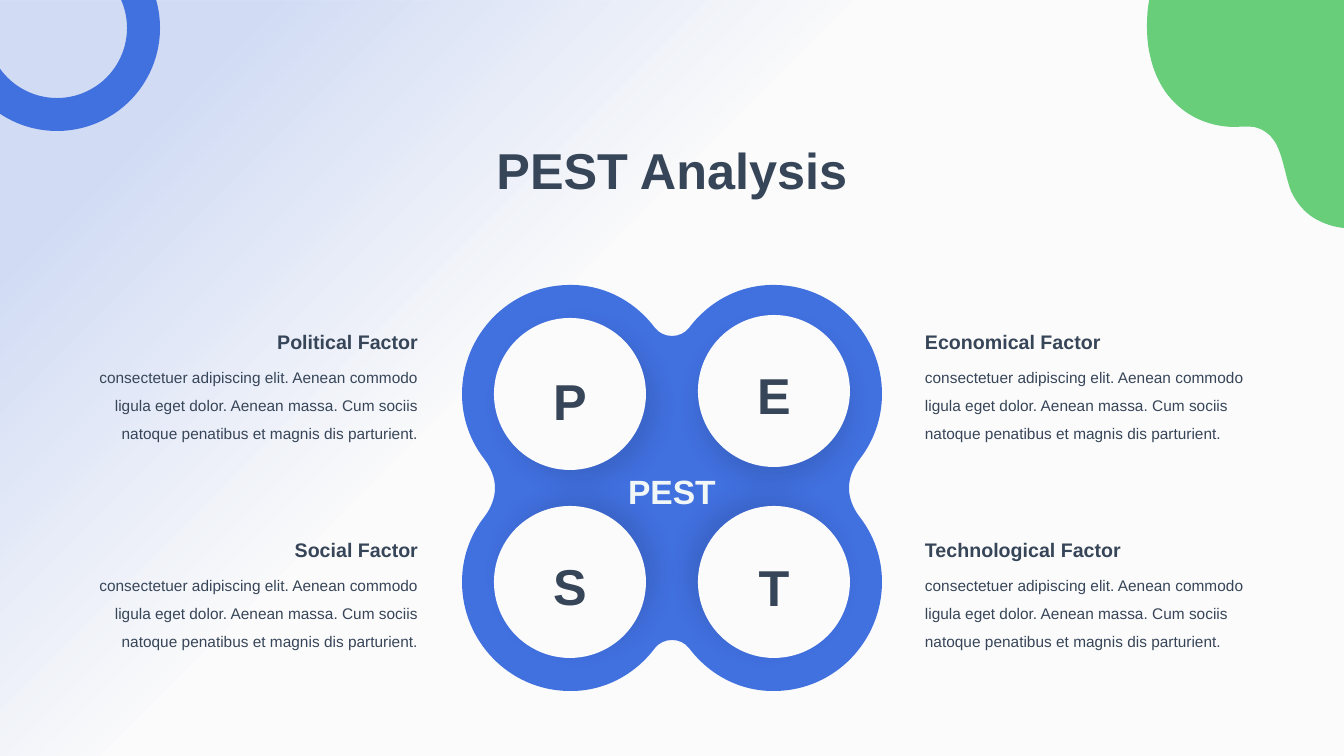
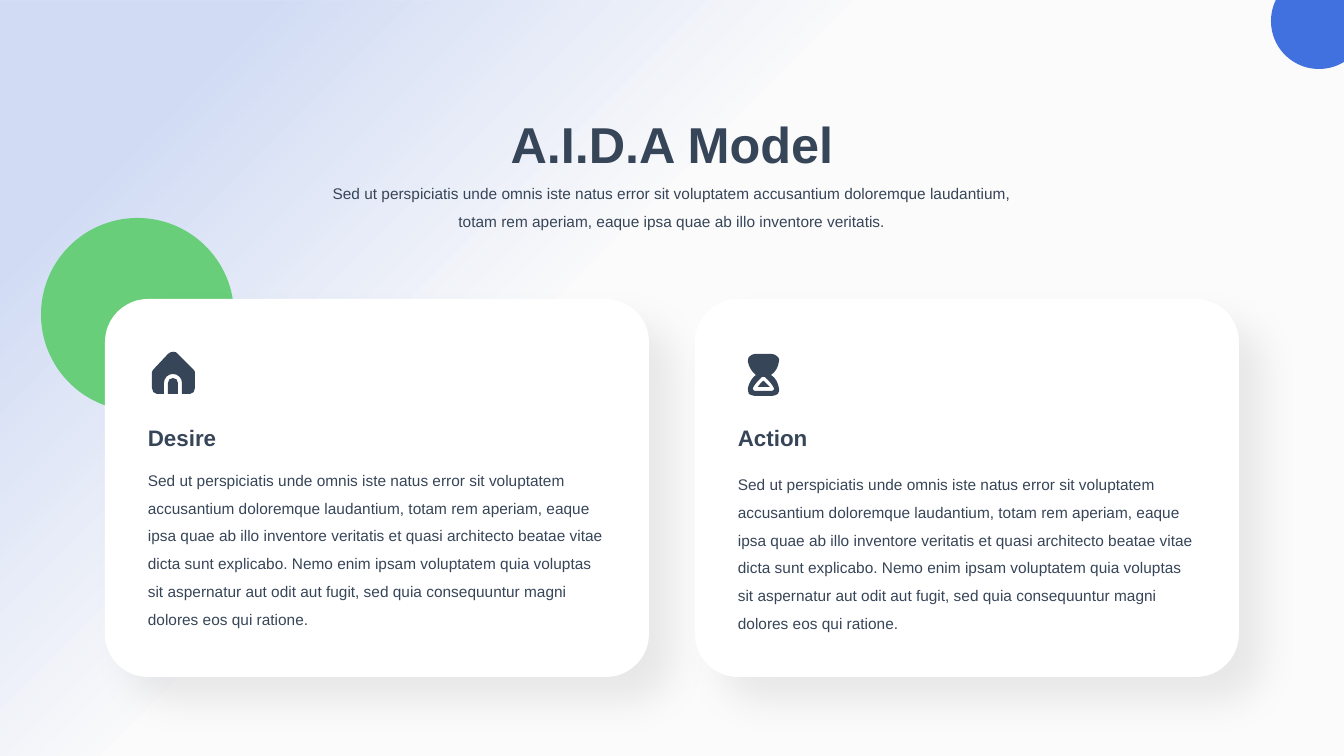
"""Build two strategy slides: PEST analysis and A.I.D.A model."""
import lxml.etree
import pptx
import pptx.dml.color
import pptx.enum.shapes
import pptx.enum.text
import pptx.oxml.ns
import pptx.util

PX = 914400 / 100.8
WIDTH, HEIGHT = 1344, 756
FONT = "Arial"
COLORS = {"paper": "FBFBFB", "blue": "4170DF", "green": "68CE7A", "ink": "374558",
          "label": "F1F7F7", "card": "FFFFFF", "shadow": "000000"}
SHAPE = pptx.enum.shapes.MSO_SHAPE
ALIGN = pptx.enum.text.PP_ALIGN
ANCHOR = pptx.enum.text.MSO_ANCHOR
# position and opacity in percent
BACKDROP_STOPS = [(13, 22), (41, 0)]

FACTOR_BODY = ("consectetuer adipiscing elit. Aenean commodo ligula eget dolor. "
               "Aenean massa. Cum sociis natoque penatibus et magnis dis parturient.")
FACTORS = [["Political Factor", "Economical Factor"],
           ["Social Factor", "Technological Factor"]]
FACTOR_SIDES = [(55, ALIGN.RIGHT), (915, ALIGN.LEFT)]
FACTOR_TOP, FACTOR_STEP = 316, 208
# letter, circle left, circle top, letter top, shadow direction
LETTERS = [("P", 494, 318, 364, 45), ("E", 698, 315, 358, 90),
           ("S", 494, 506, 549, 315), ("T", 698, 506, 550, 225)]
CIRCLE = 152

AIDA_INTRO = ("Sed ut perspiciatis unde omnis iste natus error sit voluptatem accusantium "
              "doloremque laudantium, totam rem aperiam, eaque ipsa quae ab illo inventore "
              "veritatis.")
CARD_BODY = ("Sed ut perspiciatis unde omnis iste natus error sit voluptatem accusantium "
             "doloremque laudantium, totam rem aperiam, eaque ipsa quae ab illo inventore "
             "veritatis et quasi architecto beatae vitae dicta sunt explicabo. Nemo enim ipsam "
             "voluptatem quia voluptas sit aspernatur aut odit aut fugit, sed quia "
             "consequuntur magni dolores eos qui ratione.")
# heading, card left, gap under the heading in points
CARDS = [("Desire", 105, 7.5), ("Action", 695, 10.5)]

# a contour is a start point, then line ends (x, y) and curves (two handles and an end)
CLOVER_CENTER = (672, 488)
CLOVER_QUARTER = [(849, 488), (849, 478), (853, 468), (859, 460), (874, 441), (882, 418),
                  (882, 394), (882, 335), (835, 286), (776, 285), (742, 284), (710, 300),
                  (689, 328), (685, 333), (679, 336), (672, 336)]
BLOB = [(1150, -3), (1146, 12, 1146, 40, 1150, 55), (1153, 70, 1159, 83, 1167, 94),
        (1185, 117, 1209, 126, 1232, 127), (1239, 127, 1247, 126, 1254, 127),
        (1263, 129, 1270, 134, 1275, 142), (1283, 155, 1285, 175, 1291, 191),
        (1296, 202, 1304, 212, 1314, 218), (1324, 224, 1334, 227, 1344, 228), (1344, -3)]
HOUSE = [(182, 383), (182, 394), (190, 394), (193, 394, 195, 391, 195, 388), (195, 372),
         (195, 371, 195, 371, 194, 370), (178, 354), (176, 351, 171, 351, 168, 354),
         (153, 370), (152, 371, 152, 371, 152, 372), (152, 388),
         (152, 391, 154, 394, 157, 394), (164, 394), (164, 383),
         (164, 378, 168, 374, 173, 374), (178, 374, 182, 378, 182, 383)]
DOOR = [(173, 378), (170, 378, 168, 380, 168, 383), (168, 394), (178, 394), (178, 383),
        (178, 380, 176, 378, 173, 378)]
HOURGLASS = [(771, 375), (776, 372, 778, 367, 779, 362), (780, 360, 779, 358, 778, 357),
             (776, 355, 774, 354, 772, 354), (755, 354), (753, 354, 751, 355, 749, 357),
             (748, 358, 748, 360, 748, 362), (749, 367, 752, 372, 756, 375),
             (752, 378, 749, 383, 748, 388), (748, 390, 748, 392, 749, 394),
             (751, 395, 753, 396, 755, 396), (772, 396), (774, 396, 776, 395, 778, 394),
             (779, 392, 780, 390, 779, 388), (778, 383, 776, 378, 771, 375)]
SAND_RIM = [(774, 390), (773, 390, 773, 391, 772, 391), (755, 391),
            (754, 391, 753, 390, 753, 389), (753, 388), (755, 384, 758, 381, 761, 378),
            (762, 377), (763, 377, 764, 377, 765, 377), (766, 378),
            (769, 381, 772, 384, 774, 388), (774, 389, 774, 389, 774, 390)]
SAND = [(770, 387), (758, 387), (759, 385, 761, 383, 763, 381), (764, 381),
        (766, 383, 768, 385, 770, 387)]


def emu(length):
    return round(length * PX)


def rgb(name):
    return pptx.dml.color.RGBColor.from_string(COLORS[name])


def add_tag(parent, name, **attributes):
    return lxml.etree.SubElement(parent, pptx.oxml.ns.qn(name), **attributes)


def paint(shape, color, shadow=None):
    shape.fill.solid()
    shape.fill.fore_color.rgb = rgb(color)
    shape.line.fill.background()
    shape.shadow.inherit = False
    if shadow:
        alpha, blur, distance, direction = shadow
        effects = shape.element.spPr.find(pptx.oxml.ns.qn("a:effectLst"))
        outer = add_tag(effects, "a:outerShdw", blurRad=str(blur * 12700),
                        dist=str(distance * 12700), dir=str(direction * 60000),
                        algn="ctr", rotWithShape="0")
        tone = add_tag(outer, "a:srgbClr", val=COLORS["shadow"])
        add_tag(tone, "a:alpha", val=str(alpha * 1000))
    return shape


def add_preset(page, kind, box, color, adjust=None, shadow=None):
    shape = page.shapes.add_shape(kind, *map(emu, box))
    if adjust is not None:
        shape.adjustments[0] = adjust
    return paint(shape, color, shadow)


def bend(shape, contours):
    """Turn each triple of lines that stands for a curve into one cubic curve."""
    lines = iter(list(shape.element.iter(pptx.oxml.ns.qn("a:lnTo"))))
    for contour in contours:
        for segment in contour[1:]:
            first = next(lines)
            if len(segment) == 6:
                curve = lxml.etree.Element(pptx.oxml.ns.qn("a:cubicBezTo"))
                first.addprevious(curve)
                for line in (first, next(lines), next(lines)):
                    curve.append(line[0])
                    line.getparent().remove(line)


def add_outline(page, contours, color):
    builder = page.shapes.build_freeform(*map(emu, contours[0][0]))
    for index, contour in enumerate(contours):
        if index:
            builder.move_to(*map(emu, contour[0]))
        points = [(emu(segment[k]), emu(segment[k + 1]))
                  for segment in contour[1:] for k in range(0, len(segment), 2)]
        builder.add_line_segments(points, close=False)
    shape = builder.convert_to_shape()
    bend(shape, contours)
    return paint(shape, color)


def add_text(page, box, lines, align=ALIGN.LEFT, anchor=ANCHOR.TOP, spacing=1.0, color="ink"):
    """Add a text box; each line is text, size, bold and space before in points."""
    frame = page.shapes.add_textbox(*map(emu, box)).text_frame
    frame.word_wrap = True
    frame.vertical_anchor = anchor
    frame.text = "\n".join(line[0] for line in lines)
    for para, (_, size, bold, before) in zip(frame.paragraphs, lines):
        para.alignment = align
        para.line_spacing = spacing
        para.space_before = pptx.util.Pt(before)
        for span in para.runs:
            span.font.name = FONT
            span.font.size = pptx.util.Pt(size)
            span.font.bold = bold
            span.font.color.rgb = rgb(color)


def add_page(deck, title, top):
    page = deck.slides.add_slide(deck.slide_layouts[6])
    add_text(page, (478, top, 388, 72), [(title, 36, True, 0)], ALIGN.CENTER)
    return page


def move_backdrop(page, master):
    """Draw the tinted backdrop and hand it over to the master."""
    master.background.fill.solid()
    master.background.fill.fore_color.rgb = rgb("paper")
    backdrop = add_preset(page, SHAPE.RECTANGLE, (0, 0, WIDTH, HEIGHT), "blue")
    backdrop.fill.gradient()
    backdrop.fill.gradient_angle = 315
    for stop, (position, _) in zip(backdrop.fill.gradient_stops, BACKDROP_STOPS):
        stop.position = position / 100
        stop.color.rgb = rgb("blue")
    tones = list(backdrop.element.spPr.iter(pptx.oxml.ns.qn("a:srgbClr")))
    for tone, (_, opacity) in zip(tones, BACKDROP_STOPS):
        add_tag(tone, "a:alpha", val=str(opacity * 1000))
    backdrop.element.nvSpPr.cNvPr.set("id", "99")
    master.shapes.element.insert(2, backdrop.element)


def clover():
    center_x, center_y = CLOVER_CENTER
    upper = CLOVER_QUARTER + [(2 * center_x - x, y) for x, y in CLOVER_QUARTER[-2::-1]]
    points = upper + [(x, 2 * center_y - y) for x, y in upper[-2::-1]]
    return [points[0]] + [sum(points[k:k + 3], ()) for k in range(1, len(points), 3)]


def build_pest(deck):
    page = add_page(deck, "PEST Analysis", 134)
    move_backdrop(page, deck.slide_master)
    add_outline(page, [clover()], "blue")
    for letter, left, top, text_top, direction in LETTERS:
        add_preset(page, SHAPE.OVAL, (left, top, CIRCLE, CIRCLE), "paper",
                   shadow=(10, 16, 10, direction))
        add_text(page, (left + 29, text_top, 94, 72), [(letter, 36, True, 0)],
                 ALIGN.CENTER, ANCHOR.MIDDLE)
    add_text(page, (596, 466, 152, 50), [("PEST", 24, True, 0)],
             ALIGN.CENTER, ANCHOR.MIDDLE, color="label")
    for row, headings in enumerate(FACTORS):
        top = FACTOR_TOP + row * FACTOR_STEP
        for heading, (left, align) in zip(headings, FACTOR_SIDES):
            add_text(page, (left, top, 373, 42), [(heading, 14, True, 0)],
                     align, ANCHOR.BOTTOM, 1.5)
            add_text(page, (left, top + 38, 373, 92), [(FACTOR_BODY, 11, False, 0)],
                     align, spacing=1.5)
    add_outline(page, [BLOB], "green")
    add_preset(page, SHAPE.DONUT, (-46, -75, 206, 206), "blue", 0.16)


def build_aida(deck):
    page = add_page(deck, "A.I.D.A Model", 108)
    add_text(page, (308, 170, 728, 63), [(AIDA_INTRO, 11, False, 0)], ALIGN.CENTER, spacing=1.5)
    add_preset(page, SHAPE.OVAL, (41, 218, 193, 193), "green")
    add_preset(page, SHAPE.OVAL, (1271, -27, 96, 96), "blue")
    for heading, left, gap in CARDS:
        add_preset(page, SHAPE.ROUNDED_RECTANGLE, (left, 299, 544, 378), "card", 0.114,
                   (7, 28, 25, 45))
        add_text(page, (left + 33, 406, 479, 232),
                 [(heading, 16, True, 0), (CARD_BODY, 11, False, gap)], spacing=1.5)
    for icon in ([HOUSE], [DOOR], [HOURGLASS, SAND_RIM, SAND]):
        add_outline(page, icon, "ink")


def main():
    deck = pptx.Presentation()
    deck.slide_width, deck.slide_height = emu(WIDTH), emu(HEIGHT)
    build_pest(deck)
    build_aida(deck)
    deck.save("out.pptx")


if __name__ == "__main__":
    main()
